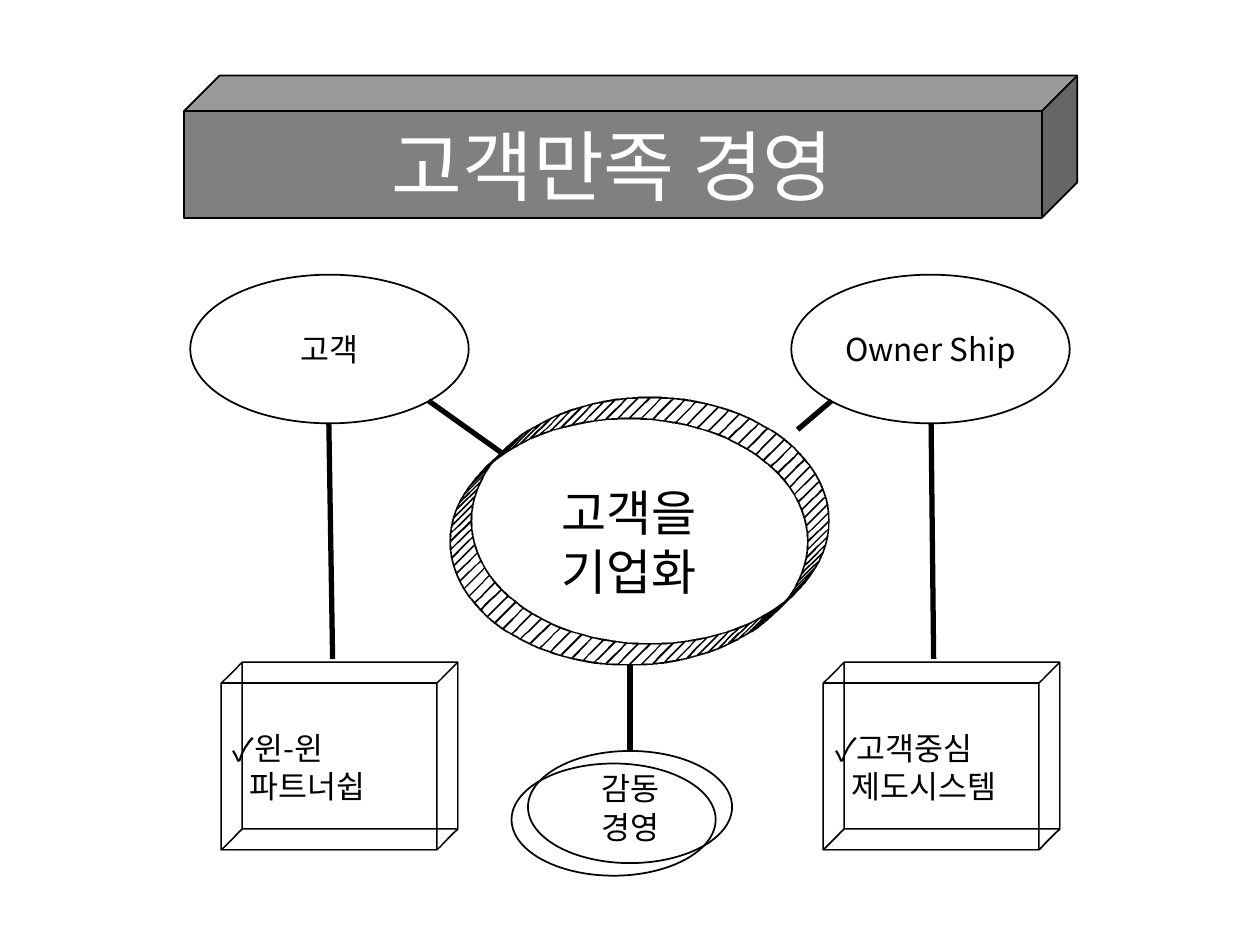
from lxml.etree import SubElement
from pptx import Presentation
from pptx.dml.color import RGBColor
from pptx.enum.shapes import MSO_CONNECTOR, MSO_SHAPE
from pptx.enum.text import MSO_ANCHOR, PP_ALIGN
from pptx.oxml.ns import qn
from pptx.util import Inches, Pt

BLACK = RGBColor(0, 0, 0)
WHITE = RGBColor(255, 255, 255)
GRAY = RGBColor(128, 128, 128)
FONT = "Noto Sans CJK KR"
DEPTH = Inches(0.47)

TITLE = ("고객만족 경영", (1.46, 0.6, 7.09, 1.13))
OVALS = [
    (["고객"], (1.51, 2.18, 2.21, 1.18), 18, WHITE),
    (["Owner Ship"], (6.28, 2.18, 2.21, 1.18), 18, WHITE),
    (["감동", "경영"], (4.19, 5.96, 1.62, 0.89), 18, None),
    ([], (4.06, 6.06, 1.62, 0.89), 18, None),
]
CENTER = (["고객을", "기업화"], (3.57, 3.31, 2.85, 1.97), 28)
BOXES = [
    (["윈-윈", "파트너쉽"], (1.75, 5.42, 1.72, 1.33)),
    (["고객중심", "제도시스템"], (6.53, 5.42, 1.72, 1.33)),
]
LINKS = [
    (2.61, 3.36, 2.64, 5.23),
    (3.4, 3.18, 3.99, 3.6),
    (6.6, 3.18, 6.33, 3.41),
    (7.39, 3.36, 7.41, 5.23),
    (5, 5.28, 5, 5.96),
]

prs = Presentation()
prs.slide_width, prs.slide_height = Inches(10), Inches(7.5)
s = prs.slides.add_slide(prs.slide_layouts[6])


def add_shape(kind, at, fill):
    sp = s.shapes.add_shape(kind, *map(Inches, at))
    sp.shadow.inherit = False
    if fill is None:
        sp.fill.background()
    else:
        sp.fill.solid()
        sp.fill.fore_color.rgb = fill
    sp.line.color.rgb = BLACK
    sp.line.width = Pt(1)
    return sp


def write(sp, lines, size, color=BLACK, align=PP_ALIGN.CENTER):
    tf = sp.text_frame
    tf.text = "\n".join(lines)
    tf.word_wrap = align == PP_ALIGN.LEFT
    tf.vertical_anchor = MSO_ANCHOR.MIDDLE
    for p in tf.paragraphs:
        p.alignment = align
        p.line_spacing = Pt(round(size * 1.2))
        for r in p.runs:
            r.font.size = Pt(size)
            r.font.name = FONT
            r.font.color.rgb = color
            SubElement(r.font._element, qn("a:ea"), typeface=FONT)


def extrude(sp):
    spPr = sp._element.spPr
    scene = SubElement(spPr, qn("a:scene3d"))
    SubElement(scene, qn("a:camera"), prst="legacyObliqueTopRight")
    SubElement(scene, qn("a:lightRig"), rig="legacyFlat3", dir="b")
    solid = SubElement(spPr, qn("a:sp3d"), extrusionH=str(DEPTH),
                       prstMaterial="legacyWireframe")
    for side in ("a:bevelT", "a:bevelB"):
        SubElement(solid, qn(side), w="13500", h="13500", prst="angle")
    for part, color in (("a:extrusionClr", WHITE), ("a:contourClr", BLACK)):
        SubElement(SubElement(solid, qn(part)), qn("a:srgbClr"), val=str(color))


def add_line(x1, y1, x2, y2, width):
    c = s.shapes.add_connector(MSO_CONNECTOR.STRAIGHT, *map(Inches, (x1, y1, x2, y2)))
    c.line.color.rgb = BLACK
    c.line.width = Pt(width)
    SubElement(c._element.spPr, qn("a:effectLst"))


def add_oval(lines, at, size, fill):
    sp = add_shape(MSO_SHAPE.OVAL, at, fill)
    write(sp, lines, size)
    return sp


title, at = TITLE
write(add_shape(MSO_SHAPE.CUBE, at, GRAY), [title], 44, WHITE)

for oval in OVALS[:2]:
    add_oval(*oval)
extrude(add_oval(*CENTER, WHITE))

for lines, at in BOXES:
    box = add_shape(MSO_SHAPE.RECTANGLE, at, WHITE)
    extrude(box)
    write(box, lines, 18, align=PP_ALIGN.LEFT)
    first, second = box.text_frame.paragraphs
    pPr = first._p.get_or_add_pPr()
    SubElement(pPr, qn("a:buFont"), typeface=FONT)
    SubElement(pPr, qn("a:buChar"), char="✓")
    second._p.get_or_add_pPr().set("marL", str(Inches(0.13)))

for oval in OVALS[2:]:
    add_oval(*oval)

for link in LINKS:
    add_line(*link, 3)

prs.save("out.pptx")
